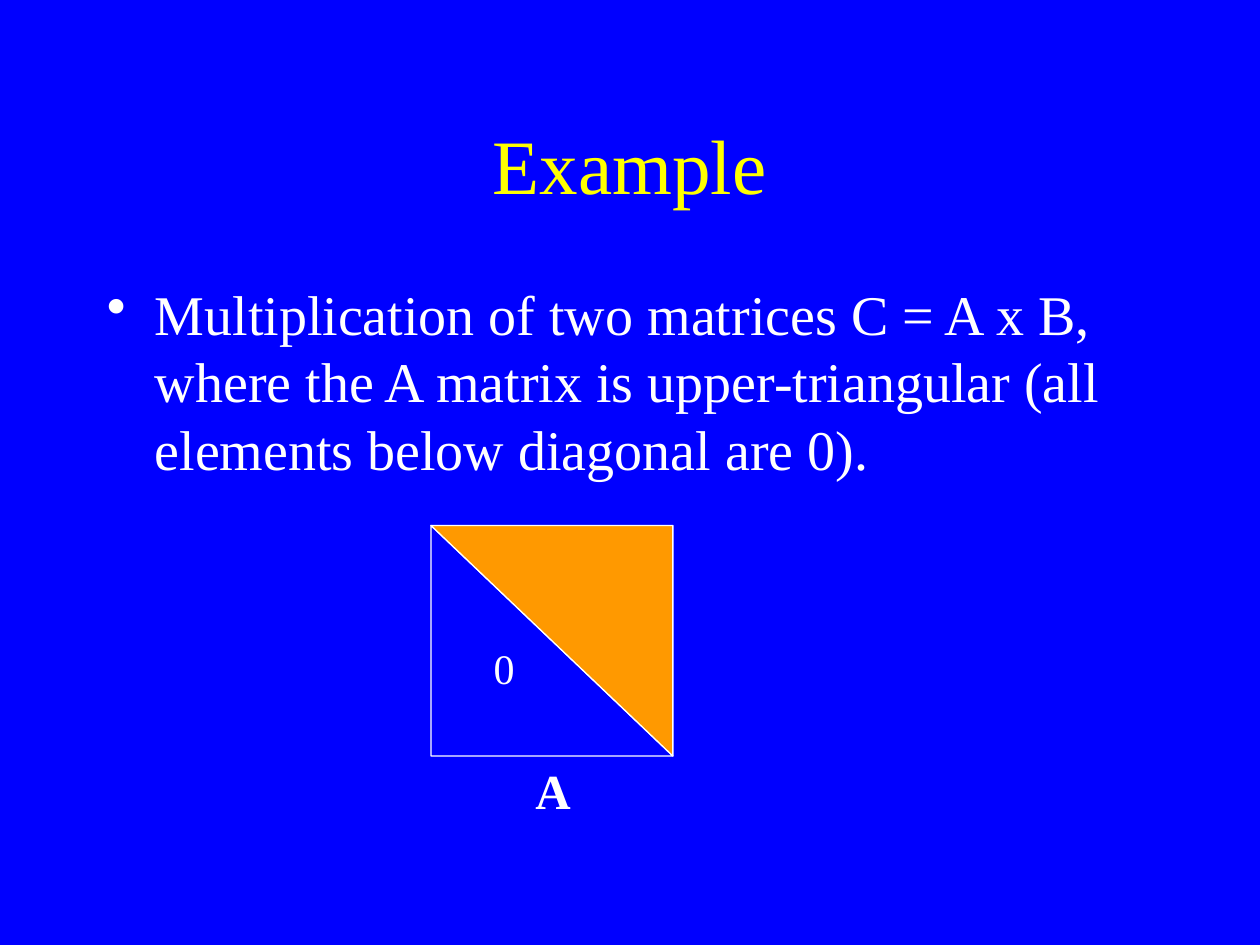
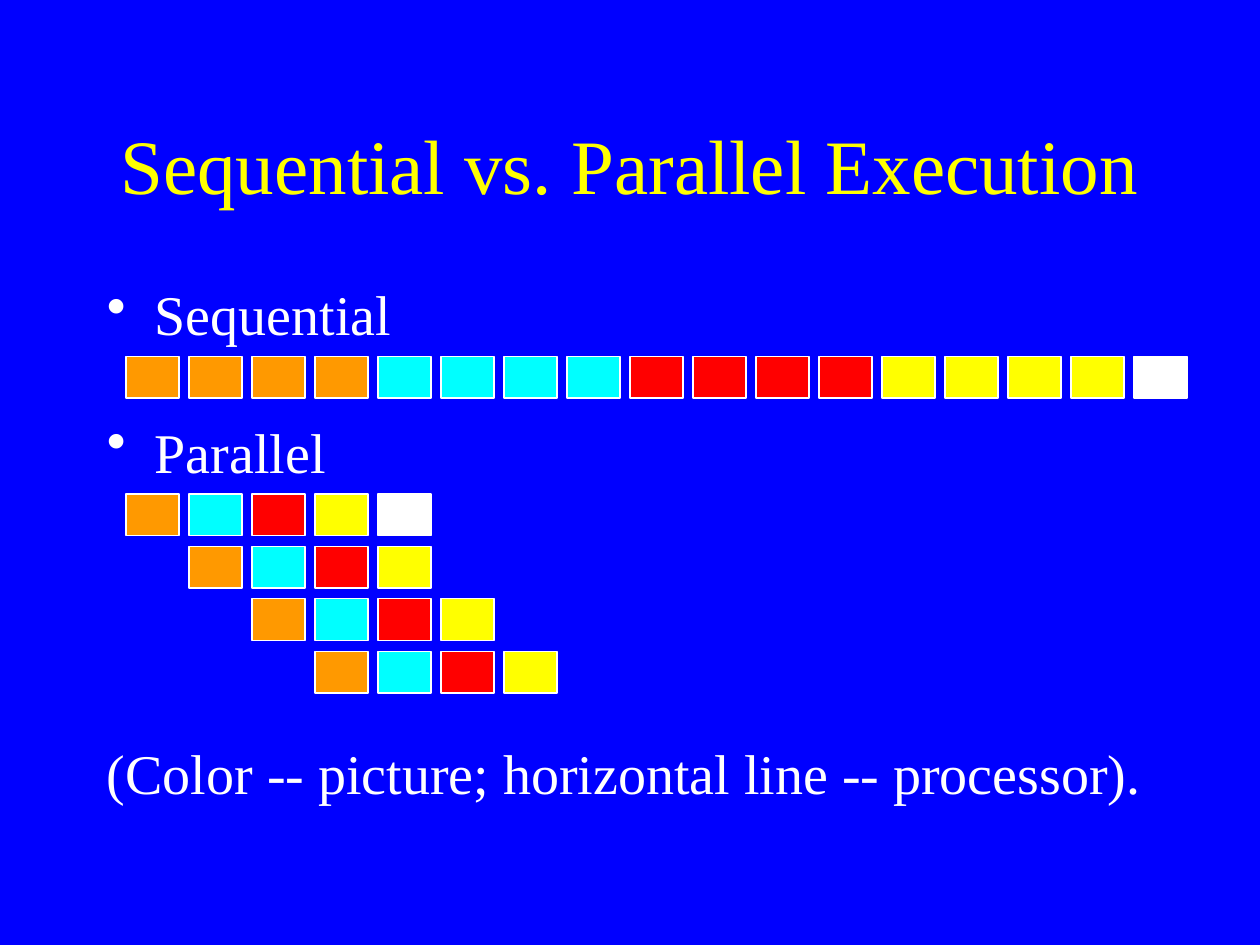
from lxml import etree
from pptx import Presentation
from pptx.dml.color import RGBColor
from pptx.enum.shapes import MSO_SHAPE
from pptx.enum.text import MSO_ANCHOR, PP_ALIGN
from pptx.oxml.ns import qn
from pptx.util import Inches, Pt

RECTANGLE = MSO_SHAPE.RECTANGLE
RIGHT_TRIANGLE = MSO_SHAPE.RIGHT_TRIANGLE
MIDDLE = MSO_ANCHOR.MIDDLE
CENTER = PP_ALIGN.CENTER

FONT = "Times New Roman"
BLUE, YELLOW, WHITE = "0000FF", "FFFF00", "FFFFFF"
ORANGE, CYAN, RED = "FF9900", "00FFFF", "FF0000"
PICTURE_COLORS = [ORANGE, CYAN, RED, YELLOW]
PROCESSORS = 4

GRID_LEFT, COLUMN_STEP, ROW_STEP = 1, 0.5, 5 / 12
CELL_WIDTH, CELL_HEIGHT = 0.42, 0.33
SEQUENTIAL_TOP, PARALLEL_TOP = 2.83, 3.92


def color(hex_value):
    return RGBColor.from_string(hex_value)


def add_page(deck, title):
    """Add a blue slide with the shared title."""
    page = deck.slides.add_slide(deck.slide_layouts[6])
    page.background.fill.solid()
    page.background.fill.fore_color.rgb = color(BLUE)
    frame = add_frame(page, 0.75, 0.67, 8.5, 1.25)
    frame.vertical_anchor = MIDDLE
    frame.paragraphs[0].alignment = CENTER
    add_span(frame.paragraphs[0], title, 44, YELLOW)
    return page


def add_frame(page, left, top, width, height, wrap=True):
    box = page.shapes.add_textbox(Inches(left), Inches(top), Inches(width), Inches(height))
    box.text_frame.word_wrap = wrap
    return box.text_frame


def add_span(para, text, size, hex_value=WHITE, bold=False):
    span = para.add_run()
    span.text = text
    span.font.name = FONT
    span.font.size = Pt(size)
    span.font.bold = bold
    span.font.color.rgb = color(hex_value)


def add_body(page):
    return add_frame(page, 0.75, 2.17, 8.5, 4.5)


def write_body_line(para, text, bullet=True):
    """Fill a paragraph with hanging body text."""
    properties = para._p.get_or_add_pPr()
    properties.set("marL", str(Inches(0.38)))
    properties.set("indent", str(Inches(-0.38)))
    if bullet:
        bullet_color = etree.SubElement(properties, qn("a:buClr"))
        etree.SubElement(bullet_color, qn("a:srgbClr"), val=WHITE)
        etree.SubElement(properties, qn("a:buChar"), char="•")
    add_span(para, text, 32)


def add_label(page, left, top, width, height, text, size, bold=False):
    frame = add_frame(page, left, top, width, height, wrap=False)
    add_span(frame.paragraphs[0], text, size, bold=bold)


def add_outlined(page, kind, left, top, width, height, fill=None):
    """Add a preset shape with a thin white outline."""
    shape = page.shapes.add_shape(
        kind, Inches(left), Inches(top), Inches(width), Inches(height))
    shape.shadow.inherit = False
    shape.line.color.rgb = color(WHITE)
    shape.line.width = Pt(0.75)
    if fill:
        shape.fill.solid()
        shape.fill.fore_color.rgb = color(fill)
    else:
        shape.fill.background()
    return shape


def add_task_row(page, top, colors, first_column=0):
    for column, fill in enumerate(colors, first_column):
        add_outlined(page, RECTANGLE, GRID_LEFT + column * COLUMN_STEP, top,
                     CELL_WIDTH, CELL_HEIGHT, fill)


def build_example(deck):
    page = add_page(deck, "Example")
    write_body_line(
        add_body(page).paragraphs[0],
        "Multiplication of two matrices C = A x B, where the A matrix is "
        "upper-triangular (all elements below diagonal are 0).")
    matrix = (3.42, 4.17, 1.92, 1.83)
    add_outlined(page, RIGHT_TRIANGLE, *matrix)
    upper_half = add_outlined(page, RIGHT_TRIANGLE, *matrix, fill=ORANGE)
    upper_half.rotation = 180
    add_label(page, 3.82, 5.05, 0.36, 0.5, "0", 24)
    add_label(page, 4.15, 5.99, 0.48, 0.57, "A", 28, bold=True)


def build_execution(deck):
    page = add_page(deck, "Sequential vs. Parallel Execution")
    body = add_body(page)
    write_body_line(body.paragraphs[0], "Sequential")
    parallel = body.add_paragraph()
    write_body_line(parallel, "Parallel")
    parallel.line_spacing = 0.6
    parallel.space_before = Pt(54)
    legend = body.add_paragraph()
    write_body_line(legend, "(Color -- picture; horizontal line -- processor).", bullet=False)
    legend.space_before = Pt(147)

    sequence = [fill for fill in PICTURE_COLORS for _ in range(PROCESSORS)]
    add_task_row(page, SEQUENTIAL_TOP, sequence + [WHITE])
    for processor in range(PROCESSORS):
        last_task = [WHITE] if processor == 0 else []
        add_task_row(page, PARALLEL_TOP + processor * ROW_STEP,
                     PICTURE_COLORS + last_task, first_column=processor)


def main():
    deck = Presentation()
    deck.slide_width, deck.slide_height = Inches(10), Inches(7.5)
    build_example(deck)
    build_execution(deck)
    deck.save("out.pptx")


if __name__ == "__main__":
    main()
